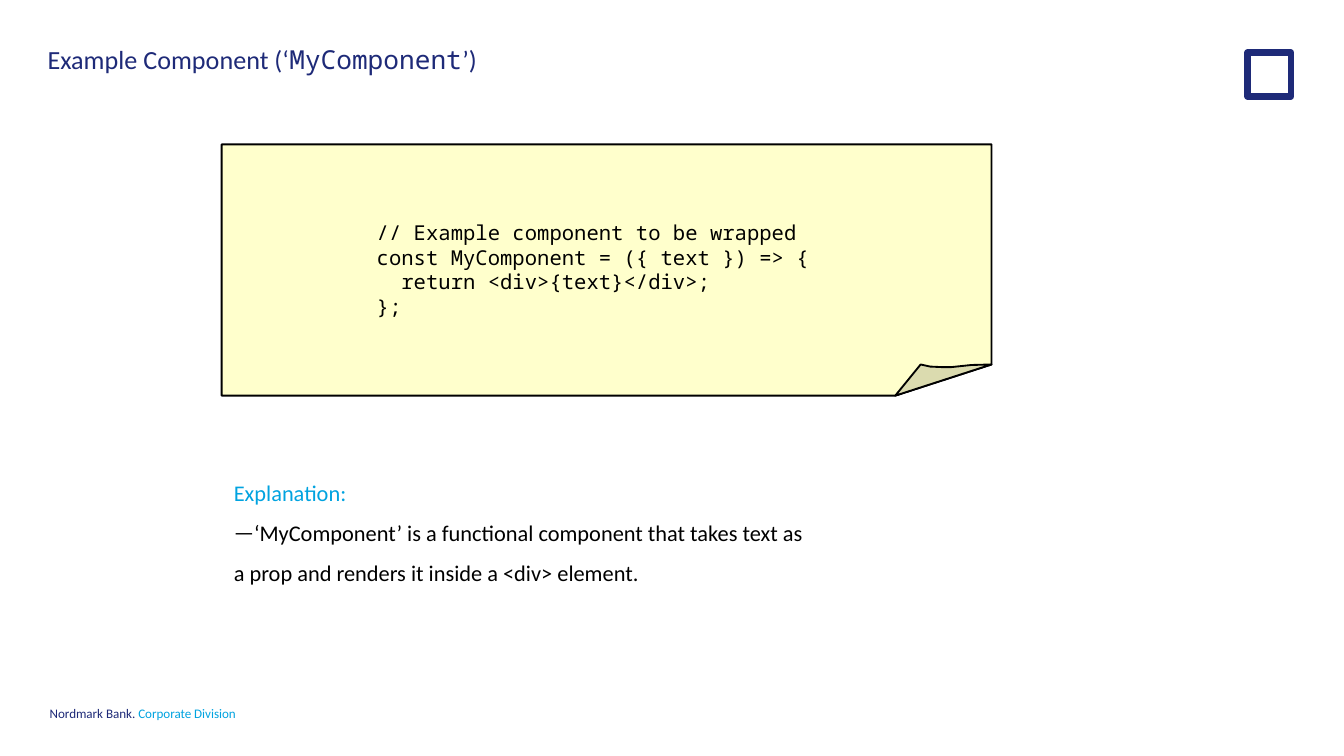
from lxml.etree import SubElement
from pptx import Presentation
from pptx.dml.color import RGBColor
from pptx.enum.shapes import MSO_SHAPE
from pptx.oxml.ns import qn
from pptx.util import Cm, Pt

NAVY, CYAN, BLACK = "1E2A78", "00A3E0", "000000"
SANS, MONO = "Calibri", "Noto Sans Mono"


def color(value):
    return RGBColor.from_string(value)


def add_span(para, text, size=12, fill=BLACK, font=SANS):
    span = para.add_run()
    span.text = text
    span.font.size = Pt(size)
    span.font.name = font
    span.font.color.rgb = color(fill)


deck = Presentation()
deck.slide_width, deck.slide_height = Cm(25.4), Cm(14.29)
page = deck.slides.add_slide(deck.slide_layouts[6])

emblem = page.shapes.add_shape(MSO_SHAPE.RECTANGLE, Cm(23.58), Cm(1), Cm(0.82), Cm(0.82))
emblem.shadow.inherit = False
emblem.fill.background()
emblem.line.color.rgb = color(NAVY)
emblem.line.width = Cm(0.13)

sheet = [(1874, 689), (1874, 273), (419, 273), (419, 748), (1692, 748)]
curl = [(1874, 689), (1836, 690), (1798, 694), (1780, 694), (1758, 693), (1740, 689), (1692, 748)]
for points, fill in [(sheet, "FFFFCC"), (curl, "DBDBAF")]:
    builder = page.shapes.build_freeform(*points[0], scale=Cm(0.01))
    builder.add_line_segments(points[1:], close=True)
    note = builder.convert_to_shape()
    note.shadow.inherit = False
    note.fill.solid()
    note.fill.fore_color.rgb = color(fill)
    note.line.color.rgb = color(BLACK)
    note.line.width = Pt(1)

title = dict(size=14, fill=NAVY)
code = [
    "// Example component to be wrapped",
    "const MyComponent = ({ text }) => {",
    "  return <div>{text}</div>;",
    "};",
]
explanation = "‘MyComponent’ is a functional component that takes text as a prop and renders it inside a <div> element."
texts = [
    ((0.9, 0.88, 21.69, 0.99), 0, 0.9, [[
        ("Example Component (‘", title), ("MyComponent", title | dict(font=MONO)), ("’)", title)]]),
    ((6.87, 4.03, 12.7, 2.13), 1, 1.0, [[(line, dict(size=11, font=MONO))] for line in code]),
    ((4.42, 8.8, 11, 4.06), 0, 1.5, [[("Explanation:", dict(fill=CYAN))], [(explanation, {})]]),
    ((0.94, 13.34, 5, 0.66), 0, Pt(8), [[
        ("Nordmark Bank. ", dict(size=7, fill=NAVY)), ("Corporate Division", dict(size=7, fill=CYAN))]]),
]
for place, inset, spacing, lines in texts:
    box = page.shapes.add_textbox(*map(Cm, place))
    frame = box.text_frame
    frame.word_wrap = True
    frame.margin_left = frame.margin_right = Cm(0.25 * inset)
    frame.margin_top = frame.margin_bottom = Cm(0.13 * inset)
    for index, spans in enumerate(lines):
        para = frame.paragraphs[0] if index == 0 else frame.add_paragraph()
        para.line_spacing = spacing
        if spans[0][0] == explanation:
            properties = para._p.get_or_add_pPr()
            properties.set("marL", "0")
            properties.set("indent", str(-Cm(0.05)))
            SubElement(properties, qn("a:buFont"), typeface=SANS)
            SubElement(properties, qn("a:buChar"), char="—")
        for text, style in spans:
            add_span(para, text, **style)

deck.save("out.pptx")
